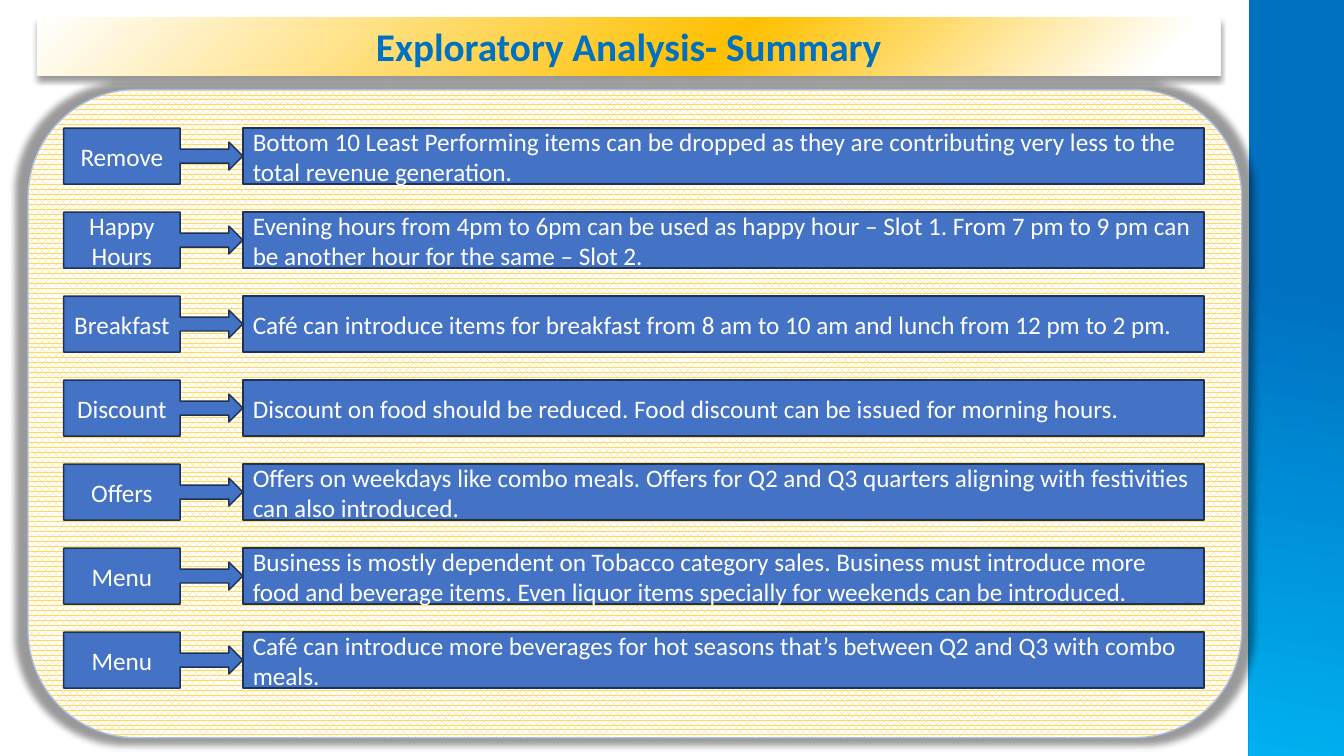
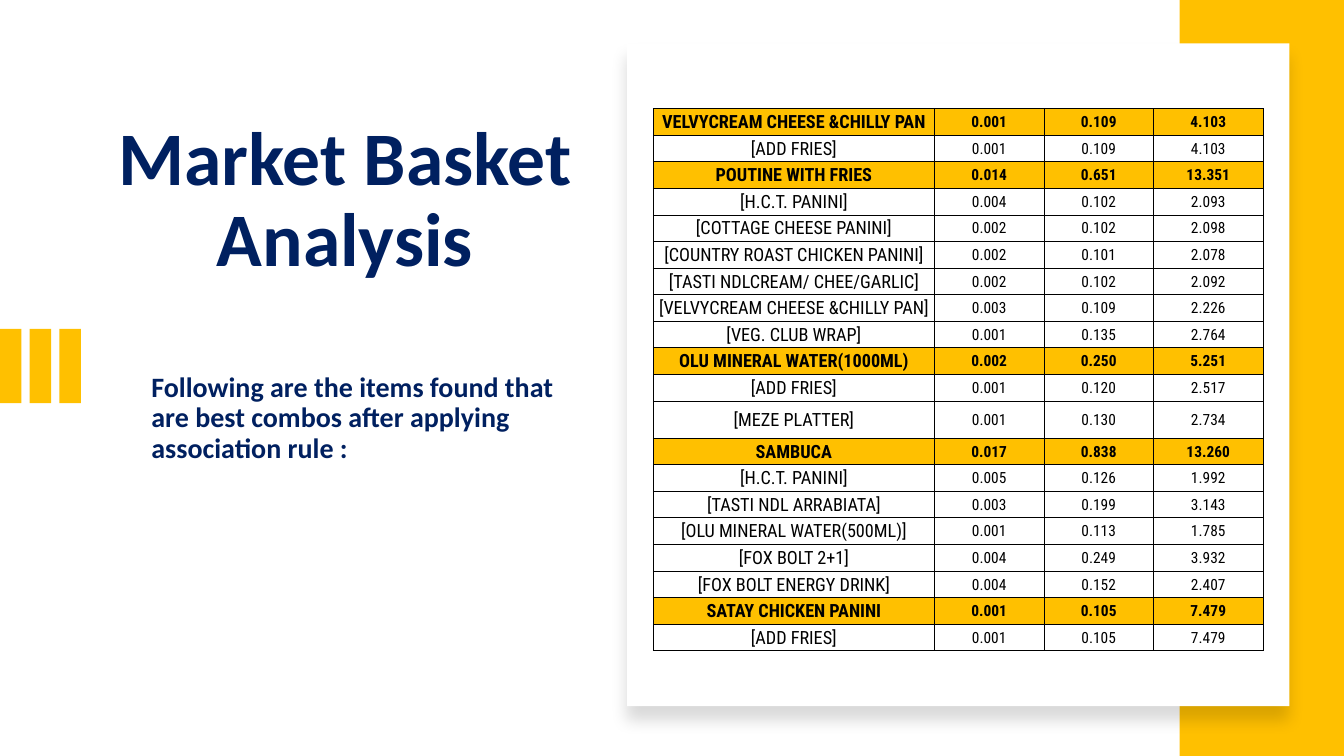
from pptx import Presentation
from pptx.dml.color import RGBColor
from pptx.enum.dml import MSO_PATTERN
from pptx.enum.shapes import MSO_SHAPE
from pptx.enum.text import MSO_ANCHOR, PP_ALIGN
from pptx.oxml import parse_xml
from pptx.oxml.ns import nsdecls, qn
from pptx.util import Pt

RECT = MSO_SHAPE.RECTANGLE
ROUNDED = MSO_SHAPE.ROUNDED_RECTANGLE
CALLOUT = MSO_SHAPE.RIGHT_ARROW_CALLOUT
LEFT, CENTER = PP_ALIGN.LEFT, PP_ALIGN.CENTER
TOP, MIDDLE, BOTTOM = MSO_ANCHOR.TOP, MSO_ANCHOR.MIDDLE, MSO_ANCHOR.BOTTOM

WHITE = RGBColor(0xFF, 0xFF, 0xFF)
BLACK = RGBColor(0x00, 0x00, 0x00)
GOLD = RGBColor(0xFF, 0xC0, 0x00)
PALE_GOLD = RGBColor(0xFF, 0xD9, 0x66)
BLUE = RGBColor(0x44, 0x72, 0xC4)
DARK_BLUE = RGBColor(0x1E, 0x32, 0x56)
PALE_BLUE = RGBColor(0xAB, 0xC0, 0xE4)
TITLE_BLUE = RGBColor(0x00, 0x70, 0xC0)
SKY = RGBColor(0x00, 0xB0, 0xF0)
NAVY = RGBColor(0x00, 0x20, 0x60)
BODY_FONT, TABLE_FONT = "Calibri", "Roboto Condensed"

# Content
SUMMARY_TITLE = "Exploratory Analysis- Summary"
FINDINGS = [
    ("Remove", "Bottom 10 Least Performing items can be dropped as they are "
     "contributing very less to the total revenue generation."),
    ("Happy Hours", "Evening hours from 4pm to 6pm can be used as happy hour – Slot 1. "
     "From 7 pm to 9 pm can be another hour for the same – Slot 2."),
    ("Breakfast", "Café can introduce items for breakfast from 8 am to 10 am "
     "and lunch from 12 pm to 2 pm."),
    ("Discount", "Discount on food should be reduced. "
     "Food discount can be issued for morning hours."),
    ("Offers", "Offers on weekdays like combo meals. Offers for Q2 and Q3 quarters "
     "aligning with festivities can also introduced."),
    ("Menu", "Business is mostly dependent on Tobacco category sales. Business must "
     "introduce more food and beverage items. Even liquor items specially for "
     "weekends can be introduced."),
    ("Menu", "Café can introduce more beverages for hot seasons that’s between "
     "Q2 and Q3 with combo meals."),
]
BASKET_TITLE = "Market Basket Analysis"
BASKET_INTRO = ("Following are the items found that are best combos "
                "after applying association rule :")
# Names in square brackets are the partners of the heading row above them
COMBOS = [
    ("VELVYCREAM CHEESE &CHILLY PAN", "0.001", "0.109", "4.103"),
    ("[ADD FRIES]", "0.001", "0.109", "4.103"),
    ("POUTINE WITH FRIES", "0.014", "0.651", "13.351"),
    ("[H.C.T. PANINI]", "0.004", "0.102", "2.093"),
    ("[COTTAGE CHEESE PANINI]", "0.002", "0.102", "2.098"),
    ("[COUNTRY ROAST CHICKEN PANINI]", "0.002", "0.101", "2.078"),
    ("[TASTI NDLCREAM/ CHEE/GARLIC]", "0.002", "0.102", "2.092"),
    ("[VELVYCREAM CHEESE &CHILLY PAN]", "0.003", "0.109", "2.226"),
    ("[VEG. CLUB WRAP]", "0.001", "0.135", "2.764"),
    ("OLU MINERAL WATER(1000ML)", "0.002", "0.250", "5.251"),
    ("[ADD FRIES]", "0.001", "0.120", "2.517"),
    ("[MEZE PLATTER]", "0.001", "0.130", "2.734"),
    ("SAMBUCA", "0.017", "0.838", "13.260"),
    ("[H.C.T. PANINI]", "0.005", "0.126", "1.992"),
    ("[TASTI NDL ARRABIATA]", "0.003", "0.199", "3.143"),
    ("[OLU MINERAL WATER(500ML)]", "0.001", "0.113", "1.785"),
    ("[FOX BOLT 2+1]", "0.004", "0.249", "3.932"),
    ("[FOX BOLT ENERGY DRINK]", "0.004", "0.152", "2.407"),
    ("SATAY CHICKEN PANINI", "0.001", "0.105", "7.479"),
    ("[ADD FRIES]", "0.001", "0.105", "7.479"),
]
TALL_ROW = "[MEZE PLATTER]"
COLUMN_WIDTHS = (201, 78.25, 78.25, 78.25)


def add_box(shapes, kind, left, top, width, height, fill=None, line=None):
    box = shapes.add_shape(kind, Pt(left), Pt(top), Pt(width), Pt(height))
    box.shadow.inherit = False
    if fill is not None:
        box.fill.solid()
        box.fill.fore_color.rgb = fill
    if line is None:
        box.line.fill.background()
    else:
        box.line.color.rgb = line
        box.line.width = Pt(1)
    return box


def write(frame, text, size, color, align=LEFT, anchor=MIDDLE, bold=False,
          spacing=None):
    frame.word_wrap = True
    frame.vertical_anchor = anchor
    frame.text = text
    para = frame.paragraphs[0]
    para.alignment = align
    if spacing:
        para.line_spacing = spacing
    style_run(para.runs[0], BODY_FONT, size, color, bold)


def style_run(span, font, size, color, bold):
    span.font.name = font
    span.font.size = Pt(size)
    span.font.color.rgb = color
    span.font.bold = bold


def add_gradient(box, stops, direction):
    marks = "".join(f'<a:gs pos="{pos * 1000}"><a:srgbClr val="{color}"/></a:gs>'
                    for pos, color in stops)
    gradient = parse_xml(f'<a:gradFill {nsdecls("a")} rotWithShape="1">'
                         f'<a:gsLst>{marks}</a:gsLst>{direction}</a:gradFill>')
    box.element.spPr.find(qn("a:prstGeom")).addnext(gradient)


def add_shadow(box, opacity, blur, distance, scale=100, align="t"):
    effects = box.element.spPr.find(qn("a:effectLst"))
    effects.append(parse_xml(
        f'<a:outerShdw {nsdecls("a")} blurRad="{Pt(blur)}" dist="{Pt(distance)}" '
        f'dir="5400000" sx="{scale * 1000}" sy="{scale * 1000}" algn="{align}" '
        f'rotWithShape="0"><a:srgbClr val="{BLACK}">'
        f'<a:alpha val="{opacity * 1000}"/></a:srgbClr></a:outerShdw>'))


def add_text(page, left, top, width, height, *args, **style):
    box = page.shapes.add_textbox(Pt(left), Pt(top), Pt(width), Pt(height))
    write(box.text_frame, *args, **style)


def add_shared_band(page, layout):
    """Build the blue side band and move it to the layout of all slides."""
    band = add_box(page.shapes, RECT, 892, 0, 68, 540)
    add_gradient(band, [(37, TITLE_BLUE), (100, SKY)], '<a:lin ang="6000000" scaled="0"/>')
    band.element.nvSpPr.cNvPr.set("id", "20")
    layout.shapes.element.append(band.element)


def build_summary(page):
    # Title bar
    bar = add_box(page.shapes, RECT, 26.5, 12.5, 845, 41.5)
    add_gradient(bar, [(6, WHITE), (42, GOLD), (100, WHITE)],
                 '<a:path path="circle"><a:fillToRect l="100000" t="100000"/></a:path>'
                 '<a:tileRect r="-100000" b="-100000"/>')
    add_shadow(bar, 40, 4, 3)
    write(bar.text_frame, SUMMARY_TITLE, 28, TITLE_BLUE, CENTER, TOP, bold=True)

    # Patterned panel
    panel = add_box(page.shapes, ROUNDED, 20, 64, 867, 463, line=PALE_BLUE)
    panel.fill.patterned()
    panel.fill.pattern = MSO_PATTERN.PERCENT_70
    panel.fill.fore_color.rgb = PALE_GOLD
    panel.fill.back_color.rgb = WHITE
    add_shadow(panel, 40, 5, 0, scale=102, align="ctr")

    # Findings: a callout pointing at its explanation
    for index, (label, finding) in enumerate(FINDINGS):
        top = 91.5 + 60 * index
        columns = ((CALLOUT, 45.5, 128, label, CENTER),
                   (RECT, 173.5, 686.5, finding, LEFT))
        for kind, left, width, text, align in columns:
            box = add_box(page.shapes, kind, left, top, width, 40, BLUE, DARK_BLUE)
            write(box.text_frame, text, 18, WHITE, align)


def add_combo_table(page):
    heights = [26.5 if row[0] == TALL_ROW else 19 for row in COMBOS]
    frame = page.shapes.add_table(len(COMBOS), len(COLUMN_WIDTHS), Pt(466.5), Pt(77.5),
                                  Pt(sum(COLUMN_WIDTHS)), Pt(sum(heights)))
    table = frame.table
    table.first_row = table.horz_banding = False
    for column, width in zip(table.columns, COLUMN_WIDTHS):
        column.width = Pt(width)
    for row, height, values in zip(table.rows, heights, COMBOS):
        row.height = Pt(height)
        heading = not values[0].startswith("[")
        for index, (cell, value) in enumerate(zip(row.cells, values)):
            cell.margin_left = cell.margin_right = cell.margin_top = Pt(0.75)
            cell.margin_bottom = 0
            cell.vertical_anchor = MIDDLE
            if heading:
                cell.fill.solid()
                cell.fill.fore_color.rgb = GOLD
            else:
                cell.fill.background()
            cell.text = value
            para = cell.text_frame.paragraphs[0]
            para.alignment = CENTER
            style_run(para.runs[0], TABLE_FONT, 11 if index else 13, BLACK, heading)

    # Thin black cell borders
    for properties in frame.element.iter(qn("a:tcPr")):
        for place, side in enumerate(("lnL", "lnR", "lnT", "lnB")):
            properties.insert(place, parse_xml(
                f'<a:{side} {nsdecls("a")} w="{Pt(0.5)}"><a:solidFill>'
                f'<a:srgbClr val="{BLACK}"/></a:solidFill></a:{side}>'))


def build_basket(page):
    # Gold accents and white card
    stripes = page.shapes.add_group_shape()
    for index in range(3):
        add_box(stripes.shapes, RECT, 21.25 * index, 235, 15.25, 53, GOLD)
    add_box(page.shapes, RECT, 842.5, 0, 117.5, 540, GOLD)
    card = add_box(page.shapes, RECT, 448, 31, 473, 473.5, WHITE)
    add_shadow(card, 15, 11, 10)

    add_combo_table(page)
    add_text(page, 101, 262, 317.5, 73, BASKET_INTRO, 20, NAVY,
             anchor=BOTTOM, bold=True, spacing=0.9)
    add_text(page, 65.5, 82, 362, 134.5, BASKET_TITLE, 54, NAVY,
             CENTER, TOP, bold=True, spacing=0.9)


def main():
    deck = Presentation()
    deck.slide_width, deck.slide_height = Pt(960), Pt(540)
    blank = deck.slide_layouts[6]
    summary, basket = (deck.slides.add_slide(blank) for _ in range(2))
    add_shared_band(summary, blank)
    build_summary(summary)
    build_basket(basket)
    deck.save("out.pptx")


if __name__ == "__main__":
    main()
